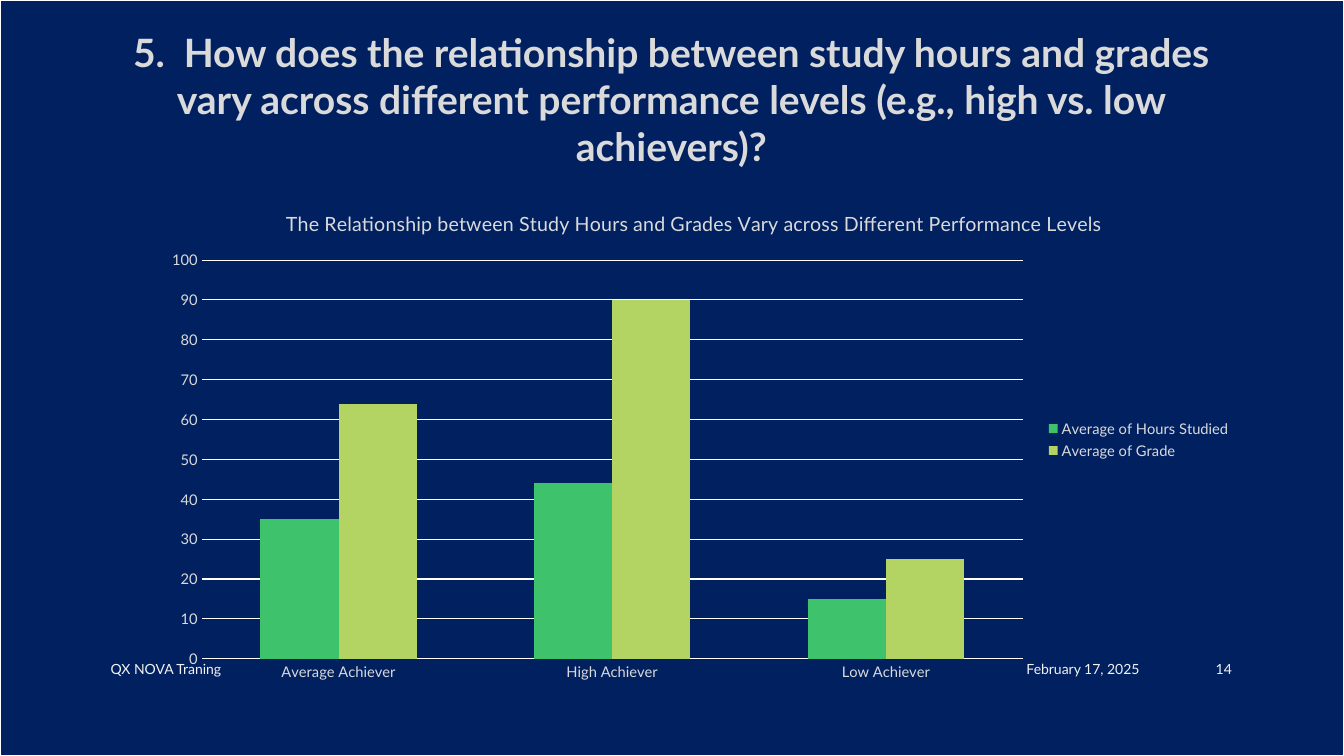
from lxml import etree
from pptx import Presentation
from pptx.chart import data
from pptx.dml import color
from pptx.enum import chart as kinds, shapes, text
from pptx.oxml import parse_xml
from pptx.oxml.ns import nsdecls, qn
from pptx.util import Pt

FACE = "Lato"
PALE = "DADADA"
MID = text.PP_ALIGN.CENTER
LEFT = text.PP_ALIGN.LEFT
RIGHT = text.PP_ALIGN.RIGHT


def rgb(code):
    return color.RGBColor.from_string(code)


def style(font, size, code=PALE, bold=False):
    font.name = FACE
    font.size = Pt(size)
    font.bold = bold
    font.color.rgb = rgb(code)


def panel(slide, wide, high):
    box = slide.shapes.add_shape(shapes.MSO_SHAPE.RECTANGLE, 0, 0, wide, high)
    box.shadow.inherit = False
    box.fill.solid()
    box.fill.fore_color.rgb = rgb("002060")
    box.line.color.rgb = rgb("FFFFFF")
    box.line.width = Pt(1.25)


def label(slide, words, place, size, align, code, bold=False):
    box = slide.shapes.add_textbox(*map(Pt, place))
    frame = box.text_frame
    frame.word_wrap = True
    frame.vertical_anchor = text.MSO_ANCHOR.MIDDLE
    para = frame.paragraphs[0]
    para.alignment = align
    run = para.add_run()
    run.text = words
    style(run.font, size, code, bold)
    return run


def shade(run):
    glow = parse_xml(
        f'<a:effectLst {nsdecls("a")}><a:outerShdw blurRad="38100" dist="25400" '
        'dir="2700000" algn="tl"><a:srgbClr val="000000"><a:alpha val="50000"/>'
        '</a:srgbClr></a:outerShdw></a:effectLst>')
    run.font.fill._xPr.find(qn("a:solidFill")).addnext(glow)


def axis(part):
    part.major_tick_mark = kinds.XL_TICK_MARK.NONE
    part.minor_tick_mark = kinds.XL_TICK_MARK.NONE
    part.format.line.fill.background()
    style(part.tick_labels.font, 10.5)


def layout(chart, **sides):
    area = chart._chartSpace.chart.plotArea
    for old in area.findall(qn("c:layout")):
        area.remove(old)
    outer = parse_xml(f'<c:layout {nsdecls("c")}><c:manualLayout/></c:layout>')
    marks = dict(layoutTarget="inner", xMode="edge", yMode="edge", **sides)
    for name, val in marks.items():
        etree.SubElement(outer[0], qn(f"c:{name}")).set("val", str(val))
    area.insert(0, outer)


def columns(slide, title, cats, rows, place):
    table = data.CategoryChartData()
    table.categories = cats
    for name, vals, code in rows:
        table.add_series(name, vals)
    kind = kinds.XL_CHART_TYPE.COLUMN_CLUSTERED
    chart = slide.shapes.add_chart(kind, *map(Pt, place), table).chart
    style(chart.font, 10.5)

    chart.has_title = True
    run = chart.chart_title.text_frame.paragraphs[0].add_run()
    run.text = title
    style(run.font, 14)
    chart.chart_title.include_in_layout = False

    chart.has_legend = True
    chart.legend.position = kinds.XL_LEGEND_POSITION.RIGHT
    chart.legend.include_in_layout = False
    style(chart.legend.font, 10.5)

    axis(chart.category_axis)
    scale = chart.value_axis
    axis(scale)
    scale.minimum_scale, scale.maximum_scale, scale.major_unit = 0, 100, 10
    grid = scale.major_gridlines.format.line
    grid.color.rgb = rgb("FFFFFF")
    grid.width = Pt(0.75)

    plot = chart.plots[0]
    plot.gap_width = 150
    plot.overlap = 0
    plot.vary_by_categories = False
    for bar, (name, vals, code) in zip(plot.series, rows):
        bar.invert_if_negative = False
        bar.format.fill.solid()
        bar.format.fill.fore_color.rgb = rgb(code)
    layout(chart, x=0.05, y=0.14, w=0.75, h=0.8)


def main():
    deck = Presentation()
    deck.slide_width, deck.slide_height = Pt(960), Pt(540)
    slide = deck.slides.add_slide(deck.slide_layouts[6])
    slide.background.fill.solid()
    slide.background.fill.fore_color.rgb = rgb("000000")
    panel(slide, deck.slide_width, deck.slide_height)

    head = label(
        slide,
        "5.  How does the relationship between study hours and grades vary "
        "across different performance levels (e.g., high vs. low achievers)?",
        (72, 15.5, 815, 110), 27.9, MID, PALE, True)
    shade(head)

    columns(
        slide,
        "The Relationship between Study Hours and Grades Vary across "
        "Different Performance Levels",
        ["Average Achiever", "High Achiever", "Low Achiever"],
        [("Average of Hours Studied", (35, 44, 15), "3EC26C"),
         ("Average of Grade", (64, 90, 25), "B3D463")],
        (105, 136, 782, 356))

    for words, left, wide, align in (
            ("February 17, 2025", 605, 216, RIGHT),
            ("QX NOVA Traning", 72, 526, LEFT),
            ("14", 828, 59, RIGHT)):
        label(slide, words, (left, 463, wide, 29), 10, align, "F2F2F2")

    deck.save("out.pptx")


if __name__ == "__main__":
    main()
